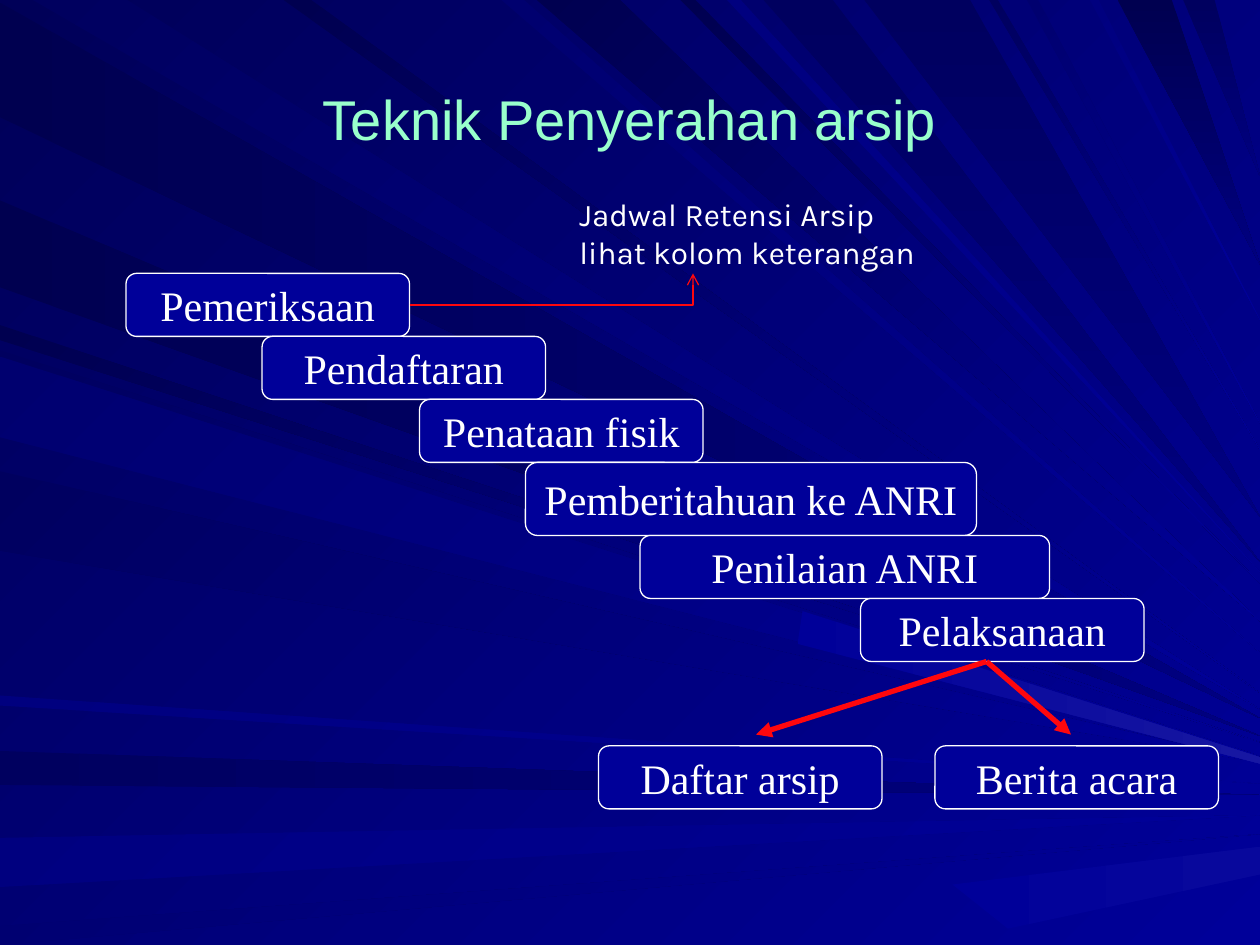
import pptx
import pptx.util
import pptx.dml.color
import pptx.enum.shapes
import pptx.enum.text
import pptx.oxml.ns
import lxml.etree

Cm, Pt = pptx.util.Cm, pptx.util.Pt
SHAPE = pptx.enum.shapes.MSO_SHAPE
LINE = pptx.enum.shapes.MSO_CONNECTOR
ALIGN = pptx.enum.text.PP_ALIGN
ANCHOR = pptx.enum.text.MSO_ANCHOR
qn = pptx.oxml.ns.qn

HUE = {"night": "000058", "box": "000099", "text": "FFFFFF",
       "title": "99FFCC", "arrow": "FF070D", "deep": "000050",
       "dim": "00005F", "mid": "00006F", "faint": "00007F",
       "dusk": "000080", "glint": "1717A2", "glow": "08089C"}
UNIT = 2.54  # one grid step in cm
WIDE, HIGH = 10, 7.5  # page in grid steps

TITLE = "Teknik Penyerahan arsip"
NOTE = ["Jadwal Retensi Arsip", "lihat kolom keterangan"]

# text, left, width, height: each step starts where the one above ends
STEPS = [
    ("Pemeriksaan", 1, 2.25, 0.5),
    ("Pendaftaran", 2.08, 2.25, 0.5),
    ("Penataan fisik", 3.33, 2.25, 0.5),
    ("Pemberitahuan ke ANRI", 4.17, 3.58, 0.58),
    ("Penilaian ANRI", 5.08, 3.25, 0.5),
    ("Pelaksanaan", 6.83, 2.25, 0.5),
]
STEP_TOP = 2.17
# text, left, arrow tip
RESULTS = [("Daftar arsip", 4.75, 6), ("Berita acara", 7.42, 8.5)]
RESULT_TOP = 5.92
FORK = (7.83, 5.25)
TIP_TOP = 5.83
BEND = [(3.25, 2.42), (5.5, 2.42), (5.5, 2.17)]

# page edge, start and end on it, height of the tip at the right edge, blend
RAYS = [
    ("left", 0.02, 0.93, 5.7, "deep", "dusk"),
    ("top", 0.26, 1.01, 5.63, "dim", "box"),
    ("left", 5.96, 6.23, 6.31, "dim", "dusk"),
    ("left", 6.65, 7.04, 6.47, "faint", "box"),
    ("left", 7.35, 7.5, 6.62, "mid", "box"),
    ("left", 2.58, 2.7, 5.89, "deep", "box"),
    ("left", 1.59, 2.28, 5.84, "deep", "dusk"),
    ("top", 3.98, 4.16, 5.18, "mid", "box"),
    ("top", 4.26, 4.92, 4.93, "deep", "box"),
    ("top", 5.4, 5.52, 4.63, "deep", "box"),
    ("top", 6.06, 6.61, 4.46, "dim", "dusk"),
    ("top", 8.87, 9.3, 2.1, "deep", "dusk"),
    ("top", 9.39, 9.64, 1.4, "dim", "dusk"),
    ("left", 2.78, 3.42, 6, "dim", "box"),
    ("left", 3.74, 4.37, 6.05, "dim", "box"),
    ("left", 5.52, 5.6, 6.22, "faint", "box"),
    ("top", 2.25, 2.47, 5.5, "deep", "box"),
    ("top", 5.77, 5.88, 4.54, "faint", "box"),
    ("top", 6.86, 7.7, 4.1, "dim", "dusk"),
    ("top", 7.85, 7.92, 3.57, "dim", "box"),
    ("top", 8.15, 8.24, 3.36, "mid", "box"),
    ("top", 8.65, 8.72, 2.54, "faint", "box"),
    ("left", 2.83, 3.47, 6.03, "mid", "box"),
]
# lit patches by the right edge: colour and corners
GLINTS = [
    ("glint", [(6.37, 4.85), (6.33, 5.11), (WIDE, 6.06), (WIDE, 6.01)]),
    ("glow", [(7.56, 7.02), (8, 7.37), (WIDE, 6.94), (WIDE, 6.72)]),
]


def grid(*steps):
    """Turn grid steps into lengths."""
    return [Cm(UNIT * n) for n in steps]


def rgb(hue):
    return pptx.dml.color.RGBColor.from_string(HUE[hue])


def blend(fill, first, last, angle):
    """Fade between two colours at a clockwise angle."""
    fill.gradient()
    fill.gradient_angle = -angle % 360
    for stop, hue in zip(fill.gradient_stops, (first, last)):
        stop.color.rgb = rgb(hue)


def write(para, text, size, font, hue):
    run = para.add_run()
    run.text = text
    run.font.size = Pt(size)
    run.font.name = font
    run.font.color.rgb = rgb(hue)


def trace(shapes, points, close):
    """Draw an outline through grid points."""
    spots = [grid(*point) for point in points]
    pen = shapes.build_freeform(*spots[0])
    pen.add_line_segments(spots[1:], close=close)
    form = pen.convert_to_shape()
    form.shadow.inherit = False
    return form


def add_light(shapes, points, first, last, angle):
    patch = trace(shapes, points, True)
    blend(patch.fill, first, last, angle)
    patch.line.fill.background()


def add_rays(shapes):
    for edge, start, end, tip, first, last in RAYS:
        if edge == "left":
            base, angle = [(0, start), (0, end)], 0
        else:
            base, angle = [(start, 0), (end, 0)], 90
        if last == "box":
            angle = 45
        add_light(shapes, base + [(WIDE, tip)], first, last, angle)
    for hue, points in GLINTS:
        add_light(shapes, points, "box", hue, 0)


def add_box(shapes, text, left, top, width, height):
    box = shapes.add_shape(SHAPE.ROUNDED_RECTANGLE, *grid(left, top, width, height))
    box.shadow.inherit = False
    box.fill.solid()
    box.fill.fore_color.rgb = rgb("box")
    box.line.color.rgb = rgb("text")
    box.line.width = Pt(0.75)
    frame = box.text_frame
    frame.word_wrap = False
    frame.vertical_anchor = ANCHOR.MIDDLE
    para = frame.paragraphs[0]
    para.alignment = ALIGN.CENTER
    write(para, text, 24, "Times New Roman", "text")


def point_line(line, width, head):
    """Colour a line and put an arrowhead at its end."""
    line.color.rgb = rgb("arrow")
    line.width = Pt(width)
    lxml.etree.SubElement(line._get_or_add_ln(), qn("a:tailEnd"), type=head)


def main():
    deck = pptx.Presentation()
    deck.slide_width, deck.slide_height = grid(WIDE, HIGH)
    slide = deck.slides.add_slide(deck.slide_layouts[5])
    shapes = slide.shapes
    blend(slide.background.fill, "night", "box", 45)
    add_rays(shapes)

    title = shapes.title
    shapes._spTree.append(title._element)  # in front of the rays
    title.left, title.top, title.width, title.height = grid(0.5, 0.68, 9, 0.51)
    title.text_frame.vertical_anchor = ANCHOR.MIDDLE
    para = title.text_frame.paragraphs[0]
    para.alignment = ALIGN.CENTER
    write(para, TITLE, 32, "Arial", "title")

    top = STEP_TOP
    for text, left, width, height in STEPS:
        add_box(shapes, text, left, top, width, height)
        top += height

    for text, left, tip in RESULTS:
        add_box(shapes, text, left, RESULT_TOP, 2.25, 0.5)
        arrow = shapes.add_connector(LINE.STRAIGHT, *grid(*FORK, tip, TIP_TOP))
        point_line(arrow.line, 3, "triangle")
        lxml.etree.SubElement(arrow._element.spPr, qn("a:effectLst"))

    note = shapes.add_textbox(*grid(4.5, 1.5, 2.92, 1)).text_frame
    note.word_wrap = True
    para = note.paragraphs[0]
    write(para, NOTE[0], 18, "Karla", "text")
    para.add_line_break()
    write(para, NOTE[1], 18, "Karla", "text")

    bend = trace(shapes, BEND, False)
    bend.fill.background()
    point_line(bend.line, 0.75, "arrow")

    deck.save("out.pptx")


if __name__ == "__main__":
    main()
